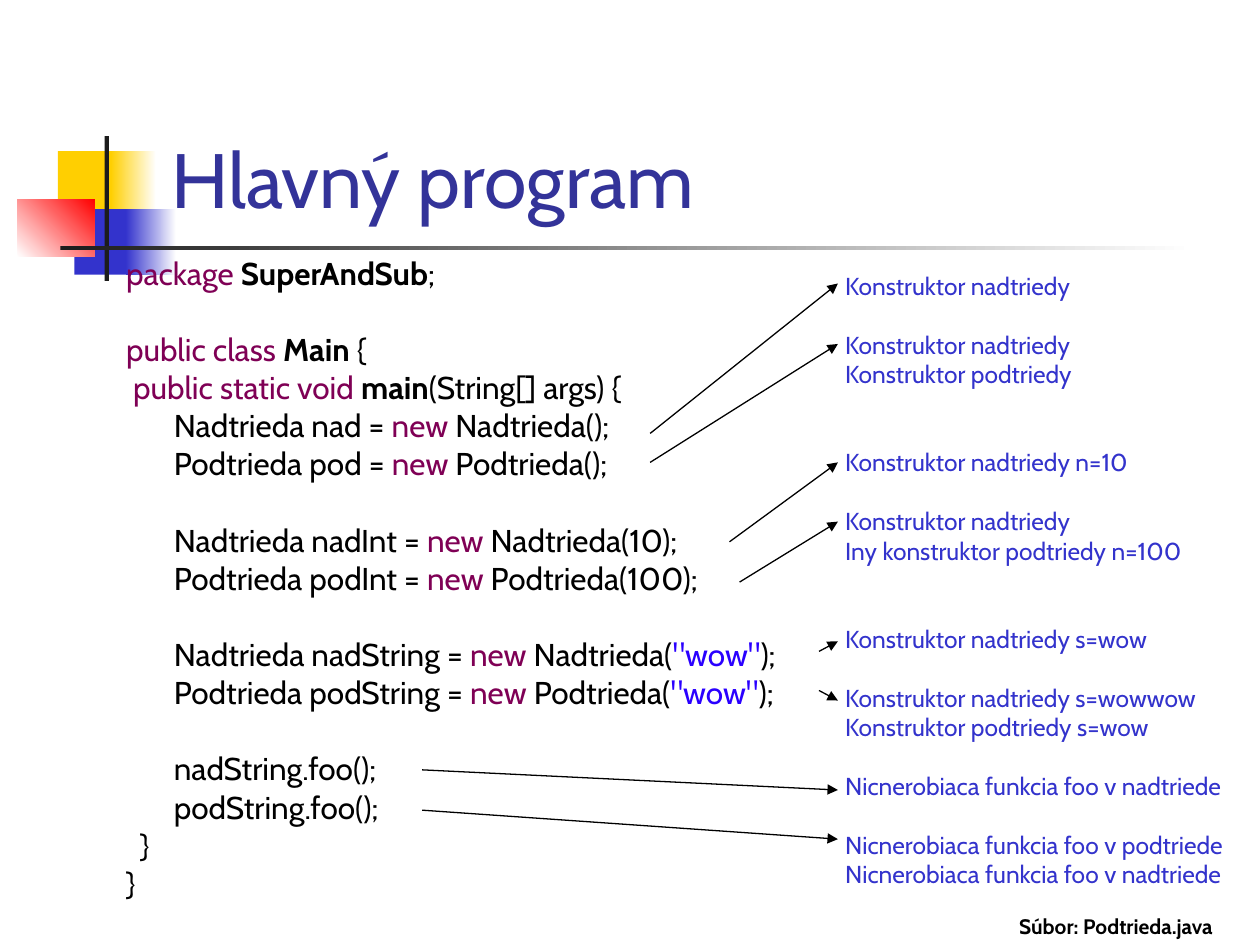
from lxml import etree
from pptx import Presentation, util as u
from pptx.dml.color import RGBColor
from pptx.enum import shapes, text
from pptx.oxml.ns import qn

FONT = "Cabin"
COLORS = {
    "title": "333399", "code": "000000", "keyword": "7F0055",
    "string": "2A00FF", "output": "3333CC", "yellow": "FFCF01",
    "blue": "3333CC", "red": "FF0000", "dark": "1C1C1C", "white": "FFFFFF",
}
COLUMNS, ROWS = 100, 75

TITLE = {"size": 44, "color": "title"}
CODE = {"size": 18, "color": "code"}
OUTPUT = {"size": 14, "color": "output"}
FILE_NOTE = {"size": 12, "color": "code", "bold": True}
KEYWORD = {"color": "keyword"}
STRING = {"color": "string"}
NAME = {"bold": True}

CODE_GAP, CODE_LINE = 4.5, 21.8
OUTPUT_LINE = 16.8


def creation(kind, variable, *argument):
    """Runs of one line that creates an object."""
    return [(f"\t{kind} {variable} = ", {}), ("new", KEYWORD),
            (f" {kind}(", {}), *argument, (");", {})]


def creations(suffix, *argument):
    return [creation("Nadtrieda", "nad" + suffix, *argument),
            creation("Podtrieda", "pod" + suffix, *argument)]


# Each block is a list of lines, each line a list of runs.
CODE_BLOCKS = [
    [[("package ", KEYWORD), ("SuperAndSub", NAME), (";", {})]],
    [[("public class ", KEYWORD), ("Main", NAME), (" {", {})],
     [(" public static void ", KEYWORD), ("main", NAME),
      ("(String[] args) {", {})],
     *creations("")],
    [creation("Nadtrieda", "nadInt", ("10", {})),
     creation("Podtrieda", "podInt", ("100", {}))],
    creations("String", ('"wow"', STRING)),
    [[("\tnadString.foo();", {})], [("\tpodString.foo();", {})],
     [("  }", {})], [("}", {})]],
]

# Empty lines above each group of printed lines
OUTPUT_GROUPS = [
    (0, ["Konstruktor nadtriedy"]),
    (1, ["Konstruktor nadtriedy", "Konstruktor podtriedy"]),
    (2, ["Konstruktor nadtriedy n=10"]),
    (1, ["Konstruktor nadtriedy", "Iny konstruktor podtriedy n=100"]),
    (2, ["Konstruktor nadtriedy s=wow"]),
    (1, ["Konstruktor nadtriedy s=wowwow", "Konstruktor podtriedy s=wow"]),
    (1, ["Nicnerobiaca funkcia foo v nadtriede"]),
    (1, ["Nicnerobiaca funkcia foo v podtriede",
         "Nicnerobiaca funkcia foo v nadtriede"]),
]

# Column and row of each start, row of each end
ARROW_END = 66.5
ARROWS = [
    (51.6, 34.4, 22.5), (51.6, 36.7, 27.3), (57.9, 43, 36.7),
    (58.7, 46.2, 41.4), (65, 51.7, 50.9), (65, 54.8, 55.6),
    (33.5, 61.1, 62.7), (33.5, 64.3, 66.6),
]

# Column, row, width, height, colours from start to end, angle
DECORATIONS = [
    (4.6, 12, 4.8, 5.2, ["yellow"], 0),
    (8.8, 12, 3.6, 5.2, ["yellow", "white"], 0),
    (5.9, 16.6, 4.6, 5.2, ["blue"], 0),
    (10, 16.6, 4, 5.2, ["blue", "white"], 0),
    (1.4, 15.8, 6.1, 4.6, ["white", "red"], 45),
    (8.3, 10.8, 0.35, 11.5, ["dark"], 0),
    (4.8, 19.5, 90, 0.35, ["dark", "white"], 0),
]


class SlideBuilder:
    """Holds the grid, the style and the current slide."""

    def __init__(self, deck):
        self.column = deck.slide_width / COLUMNS
        self.row = deck.slide_height / ROWS
        self.slide = deck.slides.add_slide(deck.slide_layouts[1])

    def place(self, *box):
        units = (self.column, self.row) * 2
        return [round(value * unit) for value, unit in zip(box, units)]

    def color(self, name):
        return RGBColor.from_string(COLORS[name])

    def decoration(self, left, top, width, height, colors, angle):
        block = self.slide.shapes.add_shape(
            shapes.MSO_SHAPE.RECTANGLE, *self.place(left, top, width, height))
        block.shadow.inherit = False
        block.line.fill.background()
        if len(colors) == 1:
            block.fill.solid()
            block.fill.fore_color.rgb = self.color(colors[0])
            return
        block.fill.gradient()
        block.fill.gradient_angle = angle
        for stop, name in zip(block.fill.gradient_stops, colors):
            stop.color.rgb = self.color(name)

    def placeholder(self, index, box):
        """Moves a template placeholder into the box and to the front."""
        holder = self.slide.placeholders[index]
        holder.left, holder.top, holder.width, holder.height = self.place(*box)
        self.slide.shapes._spTree.append(holder._element)
        return self.frame(holder)

    def text_box(self, box):
        return self.frame(self.slide.shapes.add_textbox(*self.place(*box)))

    def frame(self, holder):
        values = {"word_wrap": True, "auto_size": text.MSO_AUTO_SIZE.NONE}
        for key, value in values.items():
            setattr(holder.text_frame, key, value)
        return holder.text_frame

    def add_lines(self, frame, lines, style, line_spacing=1.0, hanging=0):
        """Adds lines given as pairs of space before and runs."""
        for number, (space, runs) in enumerate(lines):
            line = frame.add_paragraph() if number else frame.paragraphs[0]
            properties = line._p.get_or_add_pPr()
            indent = round(hanging * self.column)
            properties.set("marL", str(indent))
            properties.set("indent", str(-indent))
            etree.SubElement(properties, qn("a:buNone"))
            values = {"alignment": text.PP_ALIGN.LEFT,
                      "line_spacing": line_spacing,
                      "space_before": u.Pt(space)}
            for key, value in values.items():
                setattr(line, key, value)
            for words, changes in runs:
                self.add_words(line, words, {**style, **changes})

    def add_words(self, line, words, style):
        part = line.add_run()
        part.text = words
        values = {"name": FONT, "size": u.Pt(style["size"]),
                  "bold": style.get("bold", False)}
        for key, value in values.items():
            setattr(part.font, key, value)
        part.font.color.rgb = self.color(style["color"])

    def arrow(self, start, end):
        connector = self.slide.shapes.add_connector(
            shapes.MSO_CONNECTOR.STRAIGHT, *self.place(*start, *end))
        connector.line.width = u.Pt(0.75)
        connector.line.color.rgb = self.color("code")
        etree.SubElement(connector.line._get_or_add_ln(), qn("a:tailEnd"),
                         type="triangle")
        etree.SubElement(connector._element.spPr, qn("a:effectLst"))


def main():
    deck = Presentation()
    deck.slide_width, deck.slide_height = u.Inches(10), u.Inches(7.5)
    builder = SlideBuilder(deck)

    for decoration in DECORATIONS:
        builder.decoration(*decoration)

    title = builder.placeholder(0, (12.6, 2.3, 85.2, 16))
    title.vertical_anchor = text.MSO_ANCHOR.BOTTOM
    builder.add_lines(title, [(0, [("Hlavný program", {})])], TITLE)

    code_lines = []
    for block in CODE_BLOCKS:
        for number, runs in enumerate(block):
            space = CODE_GAP if number else CODE_GAP + CODE_LINE
            code_lines.append((space if code_lines else 0, runs))
    builder.add_lines(builder.placeholder(1, (9, 20.2, 85.8, 52)), code_lines,
                      CODE, line_spacing=0.8, hanging=3.8)

    output_lines = [(0 if number else empty * OUTPUT_LINE, [(words, {})])
                    for empty, group in OUTPUT_GROUPS
                    for number, words in enumerate(group)]
    builder.add_lines(builder.text_box((66.1, 21, 33.9, 57.1)), output_lines,
                      OUTPUT)

    for column, row, end_row in ARROWS:
        builder.arrow((column, row), (ARROW_END, end_row))

    builder.add_lines(builder.text_box((79.9, 72, 19.9, 3)),
                      [(0, [("Súbor: Podtrieda.java", {})])], FILE_NOTE)
    deck.save("out.pptx")


if __name__ == "__main__":
    main()
